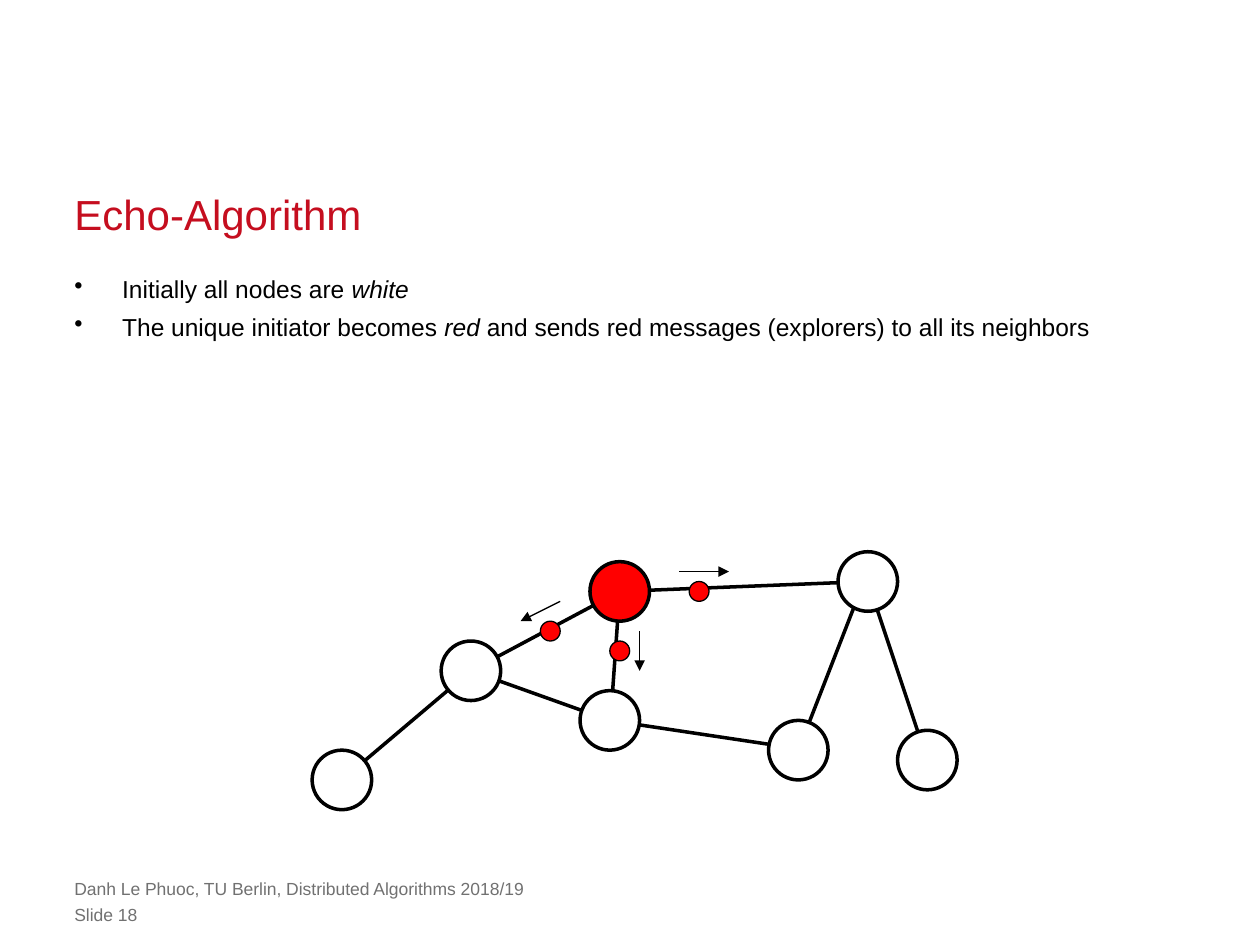
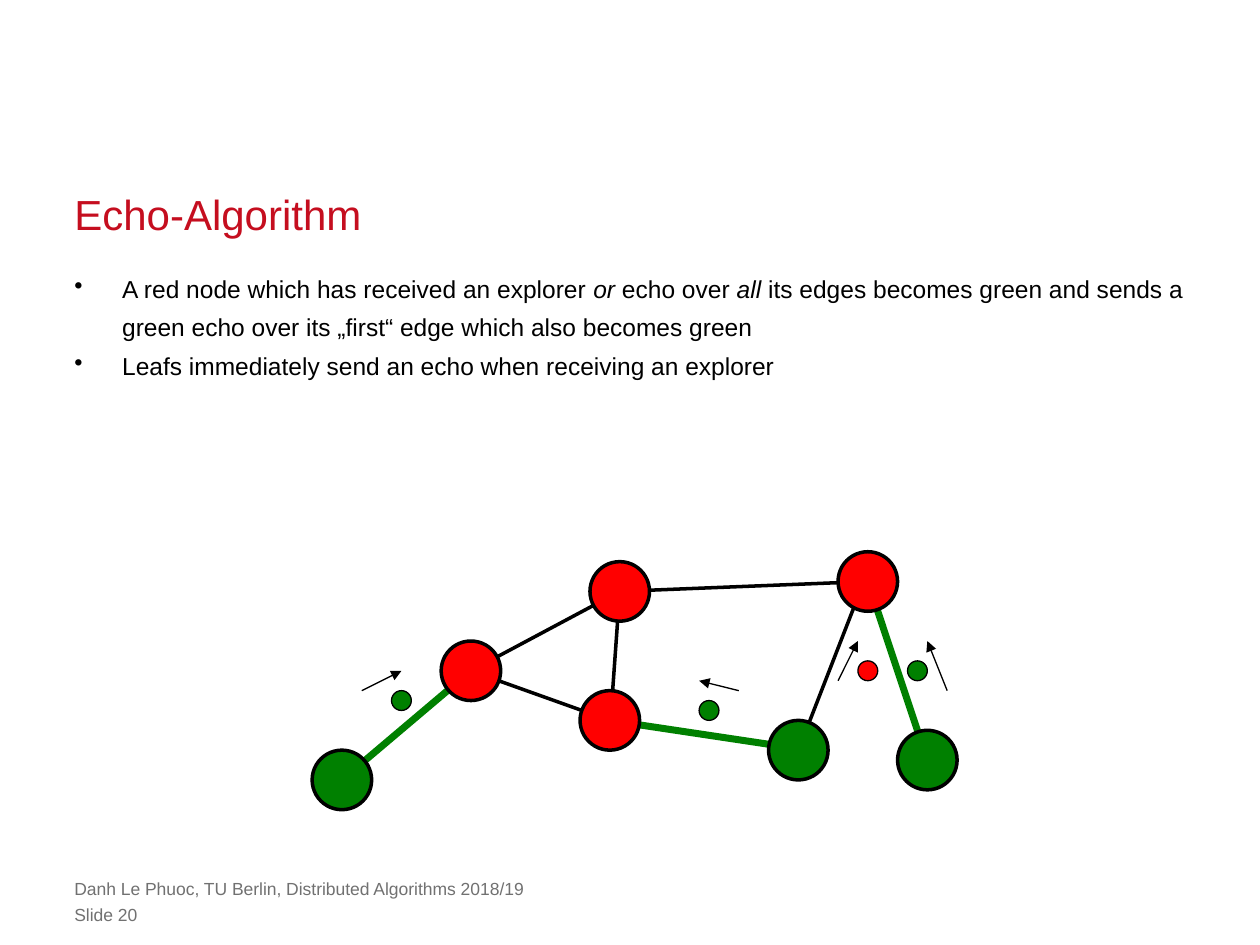
from lxml import etree
from pptx import Presentation
from pptx.dml.color import RGBColor
from pptx.enum.shapes import MSO_CONNECTOR, MSO_SHAPE
from pptx.enum.text import MSO_ANCHOR
from pptx.oxml.ns import qn
from pptx.util import Pt

STRAIGHT = MSO_CONNECTOR.STRAIGHT
OVAL = MSO_SHAPE.OVAL
TOP, BOTTOM = MSO_ANCHOR.TOP, MSO_ANCHOR.BOTTOM

FONT = "Arial"
BLACK, WHITE, RED, GREEN = "000000", "FFFFFF", "FF0000", "008000"
TITLE_RED, FOOTER_GRAY = "C50E1F", "717171"

MARGIN = 42.5
TEXT_WIDTH = 635
BULLET_INDENT = 27.3

# The graph lies on a square grid; its coordinates are grid steps from ORIGIN.
GRID = 5.67
ORIGIN = (195.4, 332.3)
NODE_SIZE, MESSAGE_SIZE = 6, 2
NODES = {
    "initiator": (28, 1),
    "left": (13, 9),
    "inner leaf": (46, 17),
    "hub": (53, 0),
    "right leaf": (59, 18),
    "middle": (27, 14),
    "left leaf": (0, 20),
}
# Start node, end node, shift of the end from the node's centre
EDGES = [
    ("left leaf", "left", (0, 0)),
    ("left", "initiator", (0, 0)),
    ("left", "middle", (0, 0)),
    ("initiator", "hub", (0, 0)),
    ("initiator", "middle", (0, 1)),
    ("middle", "inner leaf", (1, 0)),
    ("inner leaf", "hub", (0, -1)),
    ("hub", "right leaf", (0, 0)),
]

# Bullets alternate plain and italic spans.
# Messages hold the dot's centre, its colour, and the arrow's start and end.
STEPS = [
    {
        "number": 18,
        "bullets": [
            ["Initially all nodes are ", "white"],
            ["The unique initiator becomes ", "red",
             " and sends red messages (explorers) to all its neighbors"],
        ],
        "node_colors": {"initiator": RED},
        "default_color": WHITE,
        "green_edges": [],
        "messages": [
            ((21, 5), RED, (22, 2), (18, 4)),
            ((36, 1), RED, (34, -1), (39, -1)),
            ((28, 7), RED, (30, 5), (30, 9)),
        ],
    },
    {
        "number": 20,
        "bullets": [
            ["A red node which has received an explorer ", "or", " echo over ", "all",
             " its edges becomes green and sends a green echo over its „first“ edge"
             " which also becomes green"],
            ["Leafs immediately send an echo when receiving an explorer"],
        ],
        "node_colors": {"left leaf": GREEN, "inner leaf": GREEN, "right leaf": GREEN},
        "default_color": RED,
        "green_edges": [("left leaf", "left"), ("middle", "inner leaf"),
                        ("hub", "right leaf")],
        "messages": [
            ((6, 12), GREEN, (2, 11), (6, 9)),
            ((53, 9), RED, (50, 10), (52, 6)),
            ((58, 9), GREEN, (61, 11), (59, 6)),
            ((37, 13), GREEN, (40, 11), (36, 10)),
        ],
    },
]


def color(value):
    return RGBColor.from_string(value)


def grid_point(position):
    """Turn grid steps into points on the page."""
    return [start + GRID * steps for start, steps in zip(ORIGIN, position)]


class GraphDeck:
    def __init__(self):
        self.deck = Presentation()
        self.deck.slide_width, self.deck.slide_height = Pt(720), Pt(540)
        self.page = None

    def add_page(self):
        self.page = self.deck.slides.add_slide(self.deck.slide_layouts[6])

    def text_frame(self, top, width, height, anchor=TOP):
        box = self.page.shapes.add_textbox(Pt(MARGIN), Pt(top), Pt(width), Pt(height))
        frame = box.text_frame
        frame.word_wrap = True
        frame.vertical_anchor = anchor
        frame.margin_left = frame.margin_right = 0
        frame.margin_top = frame.margin_bottom = 0
        return frame

    def style(self, para, size, text_color, spacing=None):
        para.font.name = FONT
        para.font.size = Pt(size)
        para.font.color.rgb = color(text_color)
        if spacing:
            para.line_spacing = Pt(spacing)

    def title(self, text):
        para = self.text_frame(106.5, TEXT_WIDTH, 30.2, BOTTOM).paragraphs[0]
        para.text = text
        self.style(para, 24, TITLE_RED, 30)

    def bullets(self, items):
        frame = self.text_frame(151.2, TEXT_WIDTH, 320.4)
        for index, spans in enumerate(items):
            para = frame.add_paragraph() if index else frame.paragraphs[0]
            properties = para._p.get_or_add_pPr()
            properties.set("marL", str(Pt(BULLET_INDENT)))
            properties.set("indent", str(-Pt(BULLET_INDENT)))
            etree.SubElement(properties, qn("a:buChar"), char="•")
            self.style(para, 14, BLACK, 22)
            for position, text in enumerate(spans):
                span = para.add_run()
                span.text = text
                span.font.italic = position % 2 == 1

    def footer(self, text, top):
        para = self.text_frame(top, 521.3, 12.2).paragraphs[0]
        para.text = text
        self.style(para, 10, FOOTER_GRAY)

    def line(self, start, end, line_color, width, arrow=False):
        ends = [Pt(value) for value in grid_point(start) + grid_point(end)]
        connector = self.page.shapes.add_connector(STRAIGHT, *ends)
        connector.line.color.rgb = color(line_color)
        connector.line.width = Pt(width)
        if arrow:
            etree.SubElement(connector.line._get_or_add_ln(), qn("a:tailEnd"),
                             type="triangle")
        etree.SubElement(connector._element.spPr, qn("a:effectLst"))

    def circle(self, center, steps, fill, width):
        size = GRID * steps
        left, top = (value - size / 2 for value in grid_point(center))
        shape = self.page.shapes.add_shape(OVAL, Pt(left), Pt(top), Pt(size), Pt(size))
        shape.shadow.inherit = False
        shape.fill.solid()
        shape.fill.fore_color.rgb = color(fill)
        shape.line.color.rgb = color(BLACK)
        shape.line.width = Pt(width)

    def graph(self, step):
        for start, end, shift in EDGES:
            is_green = (start, end) in step["green_edges"]
            target = [place + move for place, move in zip(NODES[end], shift)]
            self.line(NODES[start], target, GREEN if is_green else BLACK,
                      4 if is_green else 2)
        for name, center in NODES.items():
            fill = step["node_colors"].get(name, step["default_color"])
            self.circle(center, NODE_SIZE, fill, 2)
        for center, fill, start, end in step["messages"]:
            self.line(start, end, BLACK, 0.75, arrow=True)
            self.circle(center, MESSAGE_SIZE, fill, 0.75)


def main():
    graph_deck = GraphDeck()
    for step in STEPS:
        graph_deck.add_page()
        graph_deck.title("Echo-Algorithm")
        graph_deck.bullets(step["bullets"])
        graph_deck.footer("Danh Le Phuoc, TU Berlin, Distributed Algorithms 2018/19", 501.8)
        graph_deck.graph(step)
        graph_deck.footer(f"Slide {step['number']}", 516.4)
    graph_deck.deck.save("out.pptx")


if __name__ == "__main__":
    main()
